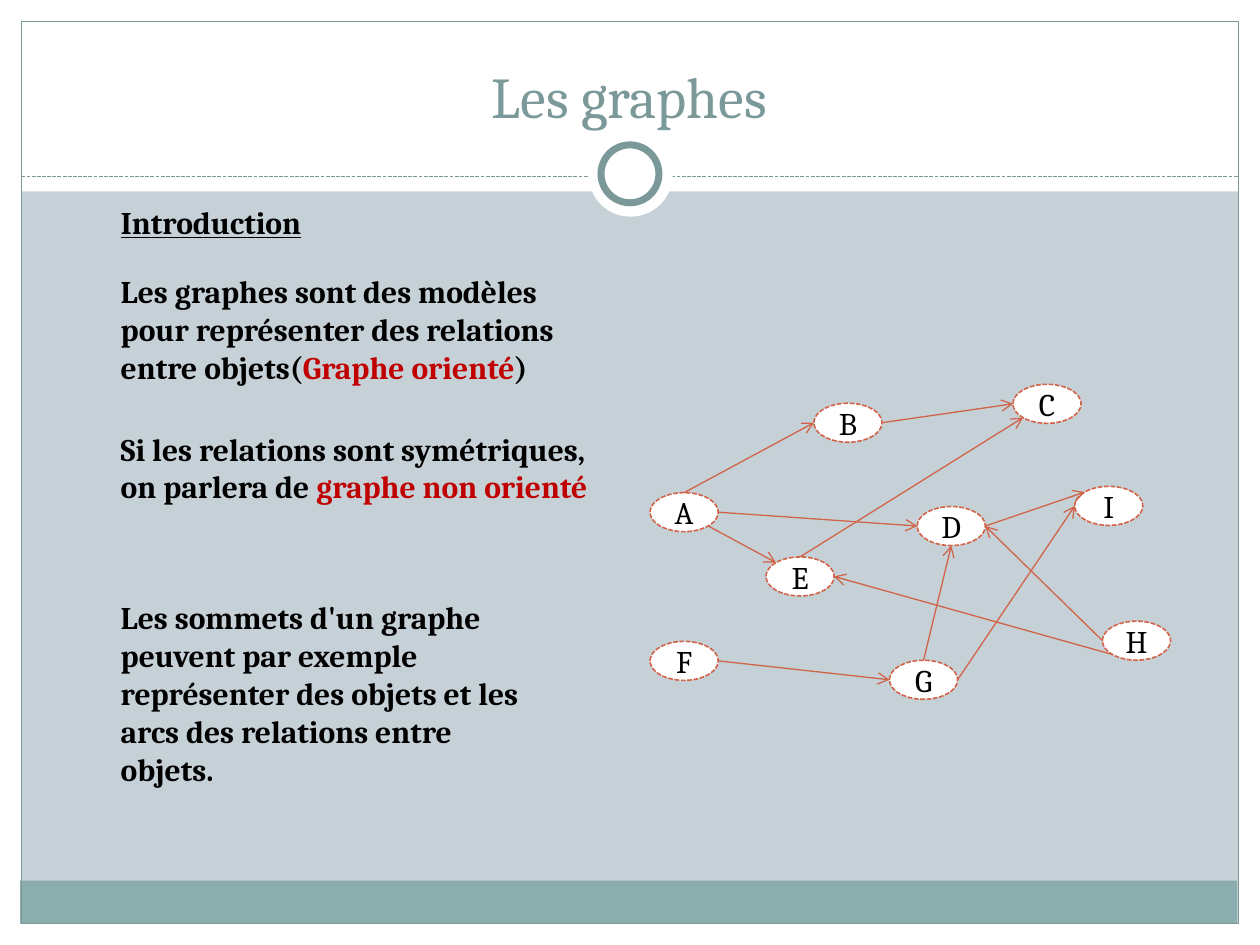
import math
import pptx
import pptx.util
import pptx.dml.color
import pptx.enum.dml
import pptx.enum.shapes
import pptx.enum.text
import pptx.oxml.ns
import lxml.etree

Inches, Pt = pptx.util.Inches, pptx.util.Pt
SHAPE = pptx.enum.shapes.MSO_SHAPE
DASH = pptx.enum.dml.MSO_LINE.SQUARE_DOT
CENTER = pptx.enum.text.PP_ALIGN.CENTER
FONT = "Cambria"
COLORS = {
    "background": "C5D1D7", "white": "FFFFFF", "band": "8CADAE",
    "frame": "7C999A", "edge": "D16349", "text": "000000", "accent": "C00000",
}
rgb = {name: pptx.dml.color.RGBColor.from_string(code) for name, code in COLORS.items()}

deck = pptx.Presentation()
deck.slide_width, deck.slide_height = Inches(10), Inches(7.5)
slide = deck.slides.add_slide(deck.slide_layouts[5])
slide.background.fill.solid()
slide.background.fill.fore_color.rgb = rgb["background"]


def add_block(kind, box, fill=None, line=None, width=0.75, dash=None):
    block = slide.shapes.add_shape(kind, *map(Inches, box))
    block.shadow.inherit = False
    if fill:
        block.fill.solid()
        block.fill.fore_color.rgb = rgb[fill]
    else:
        block.fill.background()
    if line:
        block.line.color.rgb = rgb[line]
        block.line.width = Pt(width)
        block.line.dash_style = dash
    else:
        block.line.fill.background()
    return block


def add_line(start, end, color, dash=None):
    link = slide.shapes.add_connector(
        pptx.enum.shapes.MSO_CONNECTOR.STRAIGHT, *map(Inches, (*start, *end)))
    link.line.color.rgb = rgb[color]
    link.line.width = Pt(0.75)
    link.line.dash_style = dash
    lxml.etree.SubElement(link.element.spPr, pptx.oxml.ns.qn("a:effectLst"))
    return link


margin = 0.17
for box in [(0, 7.5 - margin, 10, margin), (0, 0, 10, 1.52),
            (0, 0, margin, 7.5), (10 - margin, 0, margin, 7.5)]:
    add_block(SHAPE.RECTANGLE, box, "white")
add_block(SHAPE.RECTANGLE, (0.16, 6.99, 9.66, 0.34), "band")
add_block(SHAPE.RECTANGLE, (margin, margin, 10 - 2 * margin, 7.5 - 2 * margin), line="frame")
add_line((margin, 1.4), (10 - margin, 1.4), "frame", DASH)
add_block(SHAPE.OVAL, (4.67, 1.05, 0.67, 0.67), "white")
add_block(SHAPE.OVAL, (4.77, 1.15, 0.46, 0.46), "white", "frame", 4)

title = slide.shapes.title
title.left, title.top, title.width, title.height = map(Inches, (0.33, 0.25, 9.33, 0.83))
title.element.getparent().append(title.element)
title.text_frame.text = "Les graphes"
title.text_frame.auto_size = pptx.enum.text.MSO_AUTO_SIZE.NONE
title.text_frame.vertical_anchor = pptx.enum.text.MSO_ANCHOR.BOTTOM
heading = title.text_frame.paragraphs[0]
heading.alignment = CENTER
heading.font.name, heading.font.size = FONT, Pt(33)
heading.font.color.rgb = rgb["frame"]

passages = [
    (1.56, 6.72, 0.4, [("Introduction", "text")]),
    (2.11, 3.98, 1.31, [
        ("Les graphes sont des modèles pour représenter des relations entre objets(", "text"),
        ("Graphe orienté", "accent"), (")", "text")]),
    (3.36, 3.98, 1.01, [
        ("Si les relations sont symétriques, on parlera de ", "text"),
        ("graphe non orienté", "accent")]),
    (4.7, 3.59, 1.62, [
        ("Les sommets d'un graphe peuvent par exemple représenter des objets "
         "et les arcs des relations entre objets.", "text")]),
]
for top, width, height, pieces in passages:
    passage = slide.shapes.add_textbox(*map(Inches, (0.86, top, width, height)))
    passage.text_frame.word_wrap = True
    paragraph = passage.text_frame.paragraphs[0]
    paragraph.font.name, paragraph.font.size = FONT, Pt(18)
    paragraph.font.bold = True
    paragraph.font.underline = True if top == 1.56 else None
    for words, color in pieces:
        run = paragraph.add_run()
        run.text = words
        run.font.color.rgb = rgb[color]

node_width, node_height = 0.54, 0.31
node_corners = {
    "A": (5.16, 3.91), "B": (6.46, 3.2), "C": (8.04, 3.05),
    "D": (7.28, 4.02), "E": (6.08, 4.42), "F": (5.16, 5.09),
    "G": (7.06, 5.24), "H": (8.75, 4.93), "I": (8.53, 3.86),
}
nodes = {}
for letter, corner in node_corners.items():
    node = add_block(SHAPE.OVAL, (*corner, node_width, node_height), "white", "edge", 0.9, DASH)
    frame = node.text_frame
    frame.margin_left = frame.margin_right = frame.margin_top = frame.margin_bottom = 0
    frame.vertical_anchor = pptx.enum.text.MSO_ANCHOR.MIDDLE
    frame.text = letter
    label = frame.paragraphs[0]
    label.alignment = CENTER
    label.font.name, label.font.size = FONT, Pt(18)
    label.font.color.rgb = rgb["text"]
    nodes[letter] = node

SITES = ["top", "top left", "left", "bottom left", "bottom", "bottom right", "right", "top right"]
arcs = [
    ("B", "right", "C", "left"), ("A", "right", "D", "left"),
    ("A", "top", "B", "left"), ("E", "top", "C", "bottom left"),
    ("G", "right", "I", "left"), ("F", "right", "G", "left"),
    ("H", "left", "D", "right"), ("G", "top", "D", "bottom"),
    ("D", "right", "I", "top left"), ("H", "bottom left", "E", "right"),
    ("A", "bottom right", "E", "top left"),
]
for source, source_site, target, target_site in arcs:
    ends = []
    for letter, site in ((source, source_site), (target, target_site)):
        angle = SITES.index(site) * math.pi / 4
        left, top = node_corners[letter]
        ends.append((left + node_width / 2 * (1 - math.sin(angle)),
                     top + node_height / 2 * (1 - math.cos(angle))))
    arc = add_line(*ends, "edge")
    lxml.etree.SubElement(arc.line._get_or_add_ln(), pptx.oxml.ns.qn("a:tailEnd"), type="arrow")
    joints = arc.element.find(".//" + pptx.oxml.ns.qn("p:cNvCxnSpPr"))
    for tag, letter, site in (("a:stCxn", source, source_site), ("a:endCxn", target, target_site)):
        lxml.etree.SubElement(joints, pptx.oxml.ns.qn(tag),
                              id=str(nodes[letter].shape_id), idx=str(SITES.index(site)))

deck.save("out.pptx")
